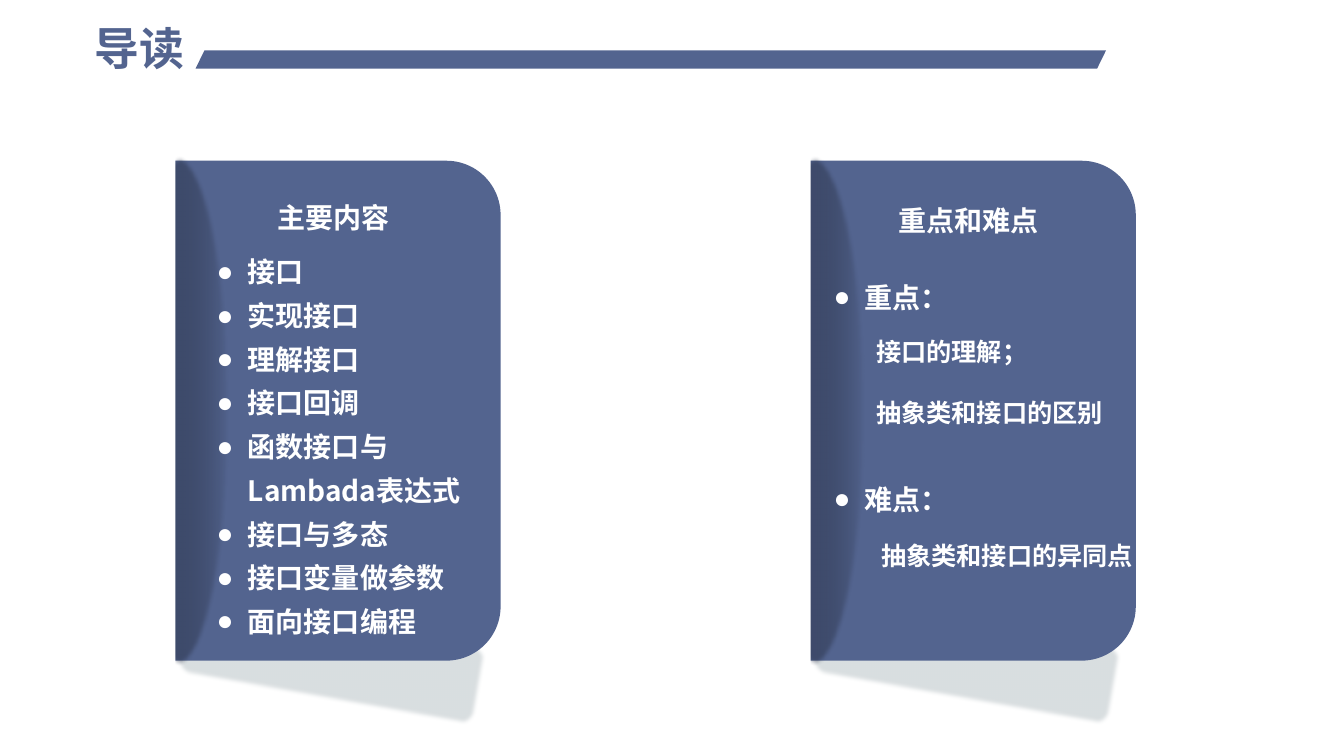
import lxml.etree
import pptx
import pptx.dml.color
import pptx.enum.shapes
import pptx.enum.text
import pptx.oxml.ns
import pptx.util

SHAPE = pptx.enum.shapes.MSO_SHAPE
qn = pptx.oxml.ns.qn


class GuideSlide:
    SCALE = 9144
    FONT = "Noto Sans CJK SC"
    COLORS = {"blue": "53648F", "white": "FFFFFF", "shade": "A1ACB2", "black": "000000"}

    def __init__(self, deck):
        self.slide = deck.slides.add_slide(deck.slide_layouts[6])
        self.shapes = self.slide.shapes

    def px(self, length):
        return pptx.util.Emu(length * self.SCALE)

    def box(self, at):
        return [self.px(length) for length in at]

    def color(self, name):
        return pptx.dml.color.RGBColor.from_string(self.COLORS[name])

    def child(self, parent, tag, **attributes):
        return lxml.etree.SubElement(parent, qn(tag), attributes)

    def start_group(self):
        self.shapes = self.slide.shapes.add_group_shape().shapes

    def block(self, kind, at, fill="blue", rotation=0, corner=None):
        block = self.shapes.add_shape(kind, *self.box(at))
        block.rotation = rotation
        block.shadow.inherit = False
        block.line.fill.background()
        block.fill.solid()
        block.fill.fore_color.rgb = self.color(fill)
        if corner is not None:
            block.adjustments[0] = corner
        return block

    def set_alpha(self, block, percent):
        tint = next(block.element.spPr.iter(qn("a:srgbClr")))
        self.child(tint, "a:alpha", val=str(percent * 1000))

    def soften(self, block):
        effects = block.element.spPr.find(qn("a:effectLst"))
        self.child(effects, "a:softEdge", rad="38100")

    def fade(self, block):
        block.fill.gradient()
        block.fill.gradient_angle = 180
        for stop, name in zip(block.fill.gradient_stops, ("black", "blue")):
            stop.color.rgb = self.color(name)
        self.set_alpha(block, 0)

    def text(self, at, lines, size=20, color="white", spacing=None, indent=0, bullet=False, gap=0):
        frame = self.shapes.add_textbox(*self.box(at)).text_frame
        frame.word_wrap = True
        frame.auto_size = pptx.enum.text.MSO_AUTO_SIZE.SHAPE_TO_FIT_TEXT
        frame.text = "\n".join(lines)
        for index, paragraph in enumerate(frame.paragraphs):
            if spacing:
                paragraph.line_spacing = spacing
            if index and gap:
                paragraph.space_before = pptx.util.Pt(gap)
            if indent:
                self.indent(paragraph, indent, bullet)
            for run in paragraph.runs:
                run.font.size = pptx.util.Pt(size)
                run.font.bold = True
                run.font.name = self.FONT
                run.font.color.rgb = self.color(color)
                self.child(run.font._element, "a:ea", typeface=self.FONT)

    def indent(self, paragraph, margin, bullet):
        paragraph.level = 1
        properties = paragraph._p.get_or_add_pPr()
        properties.set("marL", str(self.px(margin)))
        properties.set("indent", str(self.px(-31 if bullet else 0)))
        if bullet:
            self.child(properties, "a:buFont", typeface="Arial")
            self.child(properties, "a:buChar", char="●")

    def card(self, left):
        self.start_group()
        cast = self.block(SHAPE.ROUNDED_RECTANGLE, (left + 94, 614, 302, 82), "shade", 10.1, 0.16)
        self.set_alpha(cast, 40)
        self.soften(cast)
        self.block(SHAPE.ROUND_2_SAME_RECTANGLE, (left + 3, 246, 496, 323), rotation=90)
        fold = self.block(SHAPE.OVAL, (left + 43, 154, 102, 506))
        self.fade(fold)
        self.soften(fold)
        self.block(SHAPE.RECTANGLE, (left, 133, 90, 543), "white")


def main():
    deck = pptx.Presentation()
    deck.slide_width = pptx.util.Inches(13.33)
    deck.slide_height = pptx.util.Inches(7.5)
    guide = GuideSlide(deck)

    guide.card(84)
    topics = ["接口", "实现接口", "理解接口", "接口回调", "函数接口与Lambada表达式",
              "接口与多态", "接口变量做参数", "面向接口编程"]
    guide.text((155, 238, 347, 404), topics, spacing=1.3, indent=81, bullet=True)
    guide.text((265, 194, 142, 44), ["主要内容"])

    guide.start_group()
    guide.text((84, 16, 118, 64), ["导读"], size=32, color="blue")
    guide.block(SHAPE.PARALLELOGRAM, (194, 50, 903, 18), corner=0.49)

    guide.card(714)
    guide.text((767, 240, 356, 279), ["重点：", "难点："], spacing=2.0, indent=81, bullet=True, gap=96)
    guide.text((881, 197, 165, 44), ["重点和难点"])
    guide.text((859, 299, 252, 131), ["接口的理解；", "抽象类和接口的区别"], size=18, spacing=2.0)
    guide.text((814, 501, 323, 71), ["抽象类和接口的异同点"], size=18, spacing=2.0, indent=50)

    deck.save("out.pptx")


if __name__ == "__main__":
    main()
